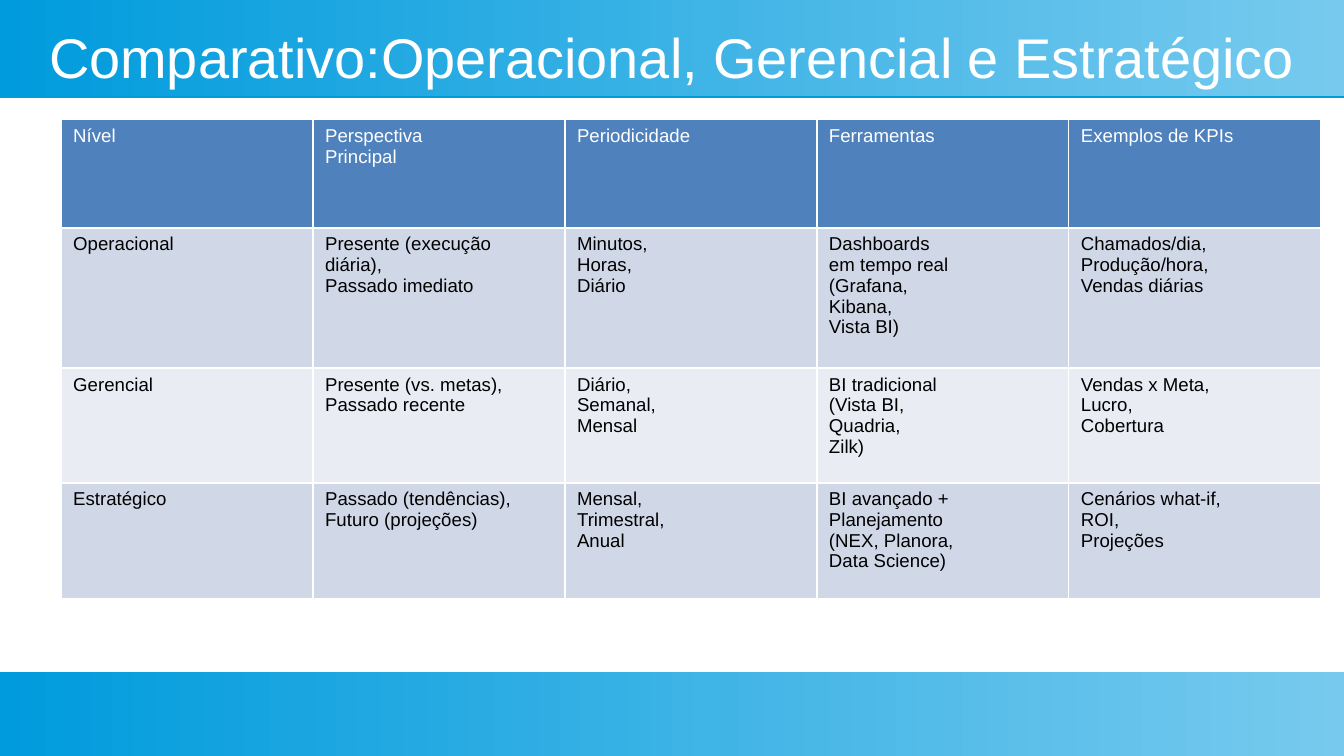
from lxml import etree
from pptx import Presentation
from pptx import util as u
from pptx.dml.color import RGBColor
from pptx.enum import shapes, text
from pptx.oxml.ns import qn

BLUE = RGBColor(0x00, 0x9B, 0xDD)
LIGHT_BLUE = RGBColor(0x77, 0xCA, 0xEE)
HEADER_BLUE = RGBColor(0x4F, 0x81, 0xBD)
ROW_DARK = RGBColor(0xD0, 0xD8, 0xE7)
ROW_LIGHT = RGBColor(0xE9, 0xEC, 0xF3)
WHITE = RGBColor(0xFF, 0xFF, 0xFF)
BLACK = RGBColor(0x00, 0x00, 0x00)

SLIDE_WIDTH, SLIDE_HEIGHT = 11.02, 6.2
ROW_HEIGHTS = [0.89, 1.15, 0.94, 0.95]
LEVELS = [
    ["Nível", "Perspectiva\nPrincipal", "Periodicidade", "Ferramentas",
     "Exemplos de KPIs"],
    ["Operacional", "Presente (execução diária),\nPassado imediato",
     "Minutos,\nHoras,\nDiário",
     "Dashboards\nem tempo real\n(Grafana,\nKibana,\nVista BI)",
     "Chamados/dia,\nProdução/hora,\nVendas diárias"],
    ["Gerencial", "Presente (vs. metas),\nPassado recente",
     "Diário,\nSemanal,\nMensal",
     "BI tradicional\n(Vista BI,\nQuadria,\nZilk)",
     "Vendas x Meta,\nLucro,\nCobertura"],
    ["Estratégico", "Passado (tendências),\nFuturo (projeções)",
     "Mensal,\nTrimestral,\nAnual",
     "BI avançado +\nPlanejamento\n(NEX, Planora,\nData Science)",
     "Cenários what-if,\nROI,\nProjeções"],
]


def inches(*lengths):
    return [u.Inches(length) for length in lengths]


def set_font(paragraph, color, size):
    for name, value in {"name": "Arial", "size": u.Pt(size)}.items():
        setattr(paragraph.font, name, value)
    paragraph.font.color.rgb = color


def add_band(slide, box):
    band = slide.shapes.add_shape(shapes.MSO_SHAPE.RECTANGLE, *inches(*box))
    band.line.fill.background()
    band.fill.gradient()
    band.fill.gradient_angle = 0
    for stop, color in zip(band.fill.gradient_stops, (BLUE, LIGHT_BLUE)):
        stop.color.rgb = color
    band.shadow.inherit = False
    effects = band.element.spPr.find(qn("a:effectLst"))
    shadow = etree.SubElement(effects, qn("a:outerShdw"), blurRad="0",
                              dist=str(u.Pt(0.9)), dir="5400000")
    etree.SubElement(shadow, qn("a:srgbClr"), val=str(BLUE))


def add_title(slide, box, wording):
    frame = slide.shapes.add_textbox(*inches(*box)).text_frame
    layout = {"margin_left": 0, "margin_right": 0, "margin_top": 0,
              "margin_bottom": 0, "word_wrap": False,
              "vertical_anchor": text.MSO_ANCHOR.MIDDLE}
    for name, value in layout.items():
        setattr(frame, name, value)
    title = frame.paragraphs[0]
    title.text = wording
    title.alignment = text.PP_ALIGN.CENTER
    set_font(title, WHITE, 33)


def add_borders(cell):
    properties = cell._tc.get_or_add_tcPr()
    for position, side in enumerate(("lnL", "lnR", "lnT", "lnB")):
        border = etree.Element(qn(f"a:{side}"), w=str(u.Pt(0.96)))
        solid = etree.SubElement(border, qn("a:solidFill"))
        etree.SubElement(solid, qn("a:srgbClr"), val=str(WHITE))
        properties.insert(position, border)


def add_comparison(slide, box):
    columns = len(LEVELS[0])
    comparison = slide.shapes.add_table(
        len(LEVELS), columns, *inches(*box)).table
    for column in comparison.columns:
        column.width = u.Inches(box[2] / columns)
    for row_index, (level, height) in enumerate(zip(LEVELS, ROW_HEIGHTS)):
        comparison.rows[row_index].height = u.Inches(height)
        row_fill = ROW_DARK if row_index % 2 else ROW_LIGHT
        fill, color = (row_fill, BLACK) if row_index else (HEADER_BLUE, WHITE)
        for column_index, wording in enumerate(level):
            cell = comparison.cell(row_index, column_index)
            cell.text = wording
            cell.fill.solid()
            cell.fill.fore_color.rgb = fill
            add_borders(cell)
            for paragraph in cell.text_frame.paragraphs:
                set_font(paragraph, color, 11)


def main():
    deck = Presentation()
    deck.slide_width, deck.slide_height = inches(SLIDE_WIDTH, SLIDE_HEIGHT)
    slide = deck.slides.add_slide(deck.slide_layouts[6])
    add_band(slide, (0, 0, SLIDE_WIDTH, 0.79))
    add_band(slide, (0, 5.51, SLIDE_WIDTH, 0.69))
    add_title(slide, (0.39, 0.2, 10.24, 0.52),
              "Comparativo:Operacional, Gerencial e Estratégico")
    add_comparison(slide, (0.5, 0.98, 10.33, sum(ROW_HEIGHTS)))
    deck.save("out.pptx")


if __name__ == "__main__":
    main()
